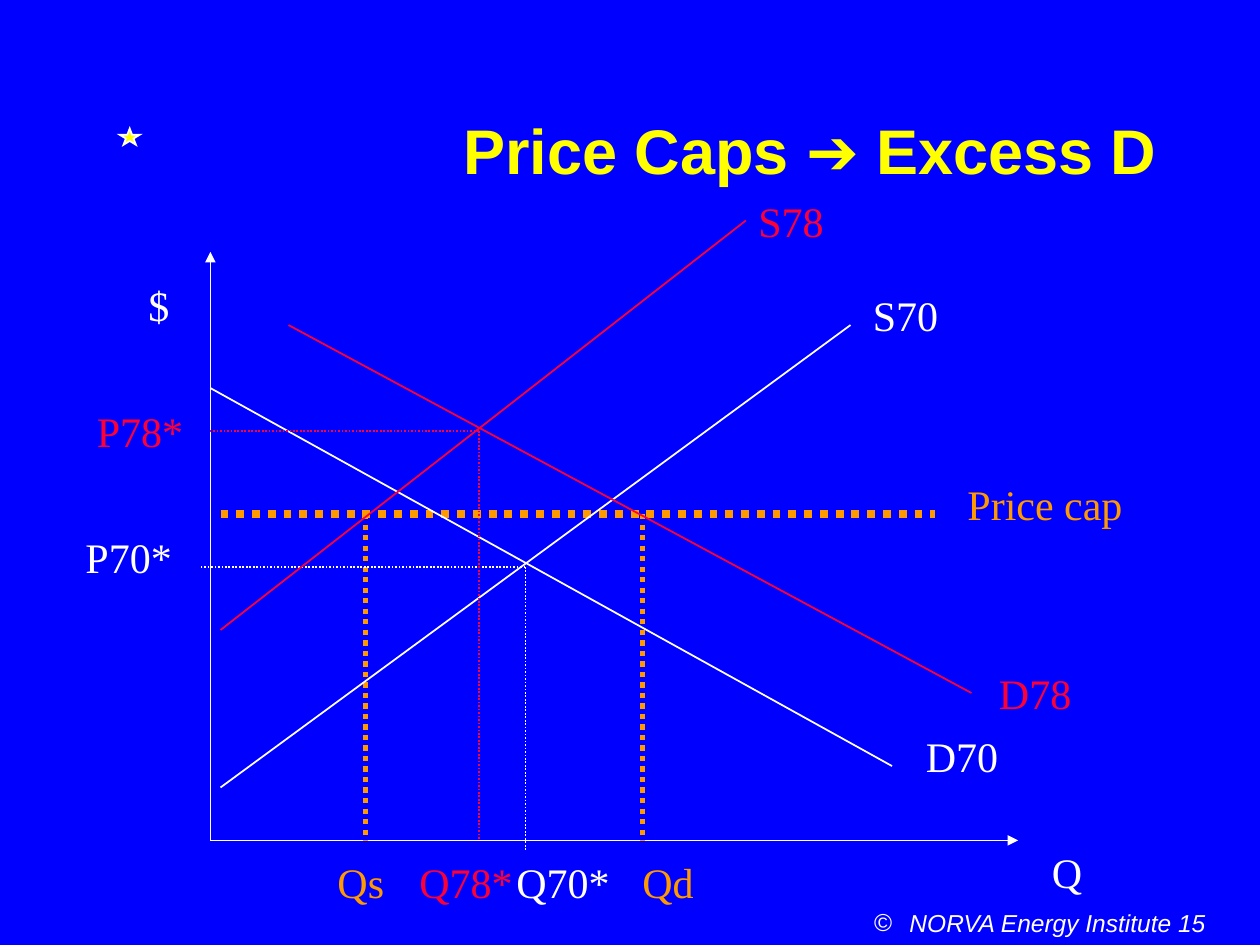
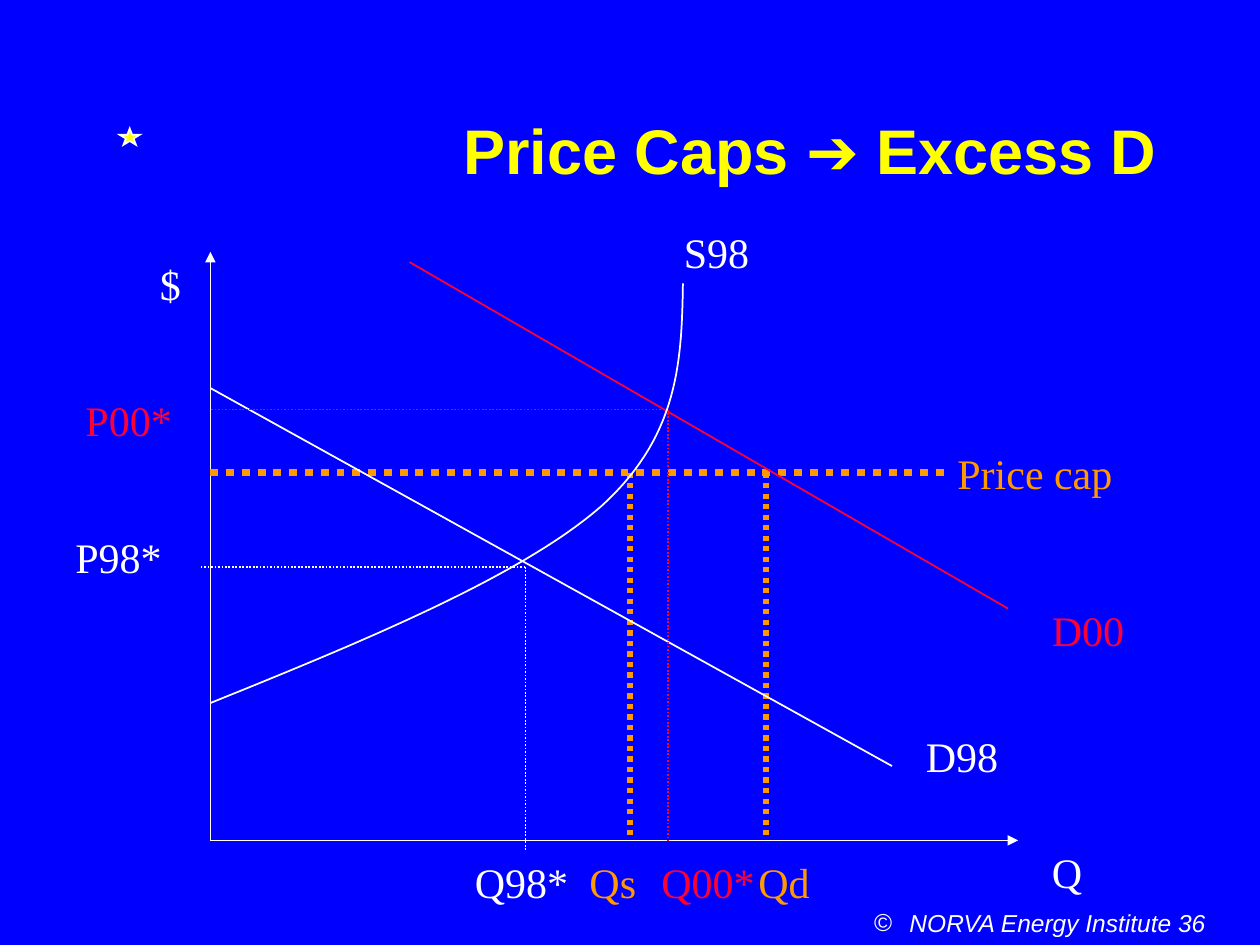
"""Build two supply and demand slides showing how price caps cause excess demand."""
from lxml.etree import SubElement
from pptx import Presentation
from pptx.dml.color import RGBColor
from pptx.enum.dml import MSO_LINE
from pptx.enum.shapes import MSO_CONNECTOR, MSO_SHAPE
from pptx.enum.text import MSO_ANCHOR, PP_ALIGN
from pptx.oxml.ns import qn
from pptx.util import Inches, Pt

COLORS = {"background": "0000FF", "title": "FFFF00", "before": "FFFFFF",
          "after": "FF0033", "cap": "FF9900"}
TITLE = "Price Caps ➔ Excess D"
OWNER = "NORVA Energy Institute"
ORIGIN = (1.67, 6.67)
PRICE_AXIS_TOP = 2
QUANTITY_AXIS_END = 8.08
OVERSHOOT = {"before": 0.08, "after": 0}
QUANTITY_LABEL_TOP = 6.75
CURVE_STEPS = 30

SLIDES = [
    {
        "number": 15,
        "lines": {
            "before": [((1.75, 6.25), (6.75, 2.58)), ((1.67, 3.08), (7.08, 6.08))],
            "after": [((2.29, 2.58), (7.71, 5.5)), ((1.75, 5), (5.92, 1.75))],
        },
        "supply_curve": [],
        "equilibrium": {"before": (4.17, 4.5), "after": (3.8, 3.42)},
        "cap": {"price": 4.08, "span": (1.75, 7.42), "quantities": (2.9, 5.1)},
        "labels": [
            ("$", 1.08, 2.17, 0.42, "before"),
            ("Q", 8.25, 6.67, 0.58, "before"),
            ("S70", 6.83, 2.25, 0.83, "before"),
            ("D70", 7.25, 5.75, 0.92, "before"),
            ("P70*", 0.58, 4.17, 0.92, "before"),
            ("Q70*", 4, QUANTITY_LABEL_TOP, 1, "before"),
            ("S78", 5.92, 1.5, 0.83, "after"),
            ("D78", 7.83, 5.25, 0.83, "after"),
            ("P78*", 0.67, 3.17, 0.92, "after"),
            ("Q78*", 3.23, QUANTITY_LABEL_TOP, 1, "after"),
            ("Price cap", 7.58, 3.75, 2.08, "cap"),
            ("Qs", 2.58, QUANTITY_LABEL_TOP, 0.75, "cap"),
            ("Qd", 5, QUANTITY_LABEL_TOP, 0.83, "cap"),
        ],
    },
    {
        "number": 36,
        "lines": {
            "before": [((1.67, 3.08), (7.08, 6.08))],
            "after": [((3.25, 2.08), (8, 4.83))],
        },
        "supply_curve": [
            ((1.67, 5.58), (2.91, 5.08), (4.14, 4.57), (4.77, 4.02)),
            ((4.77, 4.02), (5.39, 3.46), (5.41, 2.86), (5.42, 2.25)),
        ],
        "equilibrium": {"before": (4.17, 4.5), "after": (5.3, 3.25)},
        "cap": {"price": 3.75, "span": (1.67, 7.5), "quantities": (5, 6.08)},
        "labels": [
            ("$", 1.17, 2, 0.42, "before"),
            ("Q", 8.25, 6.67, 0.58, "before"),
            ("S98", 5.33, 1.75, 0.83, "before"),
            ("D98", 7.25, 5.75, 0.92, "before"),
            ("P98*", 0.5, 4.17, 1, "before"),
            ("Q98*", 3.67, QUANTITY_LABEL_TOP, 1, "before"),
            ("D00", 8.25, 4.75, 0.83, "after"),
            ("P00*", 0.58, 3.08, 0.92, "after"),
            ("Q00*", 5.15, QUANTITY_LABEL_TOP, 1, "after"),
            ("Price cap", 7.5, 3.5, 2.08, "cap"),
            ("Qs", 4.58, QUANTITY_LABEL_TOP, 0.83, "cap"),
            ("Qd", 5.92, QUANTITY_LABEL_TOP, 0.75, "cap"),
        ],
    },
]


def color(name):
    return RGBColor.from_string(COLORS[name])


def place(shape, left, top, width, height):
    shape.left, shape.top = Inches(left), Inches(top)
    shape.width, shape.height = Inches(width), Inches(height)


def add_span(para, text, size, color_name, font="Times New Roman", bold=False, italic=False):
    span = para.add_run()
    span.text = text
    span.font.name, span.font.size = font, Pt(size)
    span.font.bold, span.font.italic = bold, italic
    span.font.color.rgb = color(color_name)


def add_text(page, text, left, top, width, height, size, color_name, **style):
    box = page.shapes.add_textbox(Inches(left), Inches(top), Inches(width), Inches(height))
    box.text_frame.word_wrap = True
    para = box.text_frame.paragraphs[0]
    add_span(para, text, size, color_name, **style)
    return para


def add_line(page, start, end, color_name, width=1, dotted=False, arrow=False):
    line = page.shapes.add_connector(
        MSO_CONNECTOR.STRAIGHT, *(Inches(value) for value in (*start, *end)))
    line.line.color.rgb = color(color_name)
    line.line.width = Pt(width)
    if dotted:
        line.line.dash_style = MSO_LINE.ROUND_DOT
    if arrow:
        SubElement(line.line._get_or_add_ln(), qn("a:tailEnd"), type="triangle")
    SubElement(line._element.spPr, qn("a:effectLst"))


def bezier_point(controls, t):
    weights = ((1 - t) ** 3, 3 * t * (1 - t) ** 2, 3 * t ** 2 * (1 - t), t ** 3)
    return tuple(Inches(sum(weight * value for weight, value in zip(weights, axis)))
                 for axis in zip(*controls))


def add_curve(page, segments, color_name):
    points = [bezier_point(segment, step / CURVE_STEPS)
              for segment in segments for step in range(CURVE_STEPS + 1)]
    builder = page.shapes.build_freeform(*points[0])
    builder.add_line_segments(points[1:], close=False)
    curve = builder.convert_to_shape()
    curve.shadow.inherit = False
    curve.fill.background()
    curve.line.color.rgb = color(color_name)
    curve.line.width = Pt(1)


def add_frame(page, number):
    para = add_text(page, f"{OWNER} {number}", 6.57, 7.16, 3.43, 0.33, 14, "before",
                    font="Arial", italic=True)
    settings = para._p.get_or_add_pPr()
    settings.set("marL", str(Inches(0.55)))
    settings.set("indent", str(Inches(-0.28)))
    SubElement(settings, qn("a:buFont"), typeface="Arial")
    SubElement(settings, qn("a:buChar"), char="©")

    star = page.shapes.add_shape(
        MSO_SHAPE.STAR_5_POINT, Inches(0.95), Inches(1.02), Inches(0.16), Inches(0.13))
    star.shadow.inherit = False
    star.fill.solid()
    star.fill.fore_color.rgb = color("title")
    star.line.color.rgb = color("before")
    star.line.width = Pt(1)
    SubElement(star.line._get_or_add_ln(), qn("a:miter"), lim="800000")

    title = page.shapes.title
    place(title, 3.43, 0.48, 6, 1.41)
    title.text_frame.vertical_anchor = MSO_ANCHOR.MIDDLE
    para = title.text_frame.paragraphs[0]
    para.alignment = PP_ALIGN.CENTER
    add_span(para, TITLE, 36, "title", font="Arial", bold=True)


def add_period(page, content, period):
    for start, end in content["lines"][period]:
        add_line(page, start, end, period)
    quantity, price = content["equilibrium"][period]
    left, bottom = ORIGIN[0] - OVERSHOOT[period], ORIGIN[1] + OVERSHOOT[period]
    for end in ((left, price), (quantity, bottom)):
        add_line(page, (quantity, price), end, period, dotted=True)


def add_cap(page, price, span, quantities):
    add_line(page, (span[0], price), (span[1], price), "cap", 4.5, dotted=True)
    for quantity in quantities:
        add_line(page, (quantity, price), (quantity, ORIGIN[1]), "cap", 3, dotted=True)


def add_page(deck, content):
    page = deck.slides.add_slide(deck.slide_layouts[5])
    add_frame(page, content["number"])
    for end in ((ORIGIN[0], PRICE_AXIS_TOP), (QUANTITY_AXIS_END, ORIGIN[1])):
        add_line(page, ORIGIN, end, "before", arrow=True)
    add_cap(page, **content["cap"])
    for period in ("before", "after"):
        add_period(page, content, period)
    if content["supply_curve"]:
        add_curve(page, content["supply_curve"], "before")
    for text, left, top, width, color_name in content["labels"]:
        add_text(page, text, left, top, width, 0.5, 24, color_name)


def main():
    deck = Presentation()
    deck.slide_width, deck.slide_height = Inches(10), Inches(7.5)
    background = deck.slide_master.background.fill
    background.solid()
    background.fore_color.rgb = color("background")
    for content in SLIDES:
        add_page(deck, content)
    deck.save("out.pptx")


if __name__ == "__main__":
    main()
